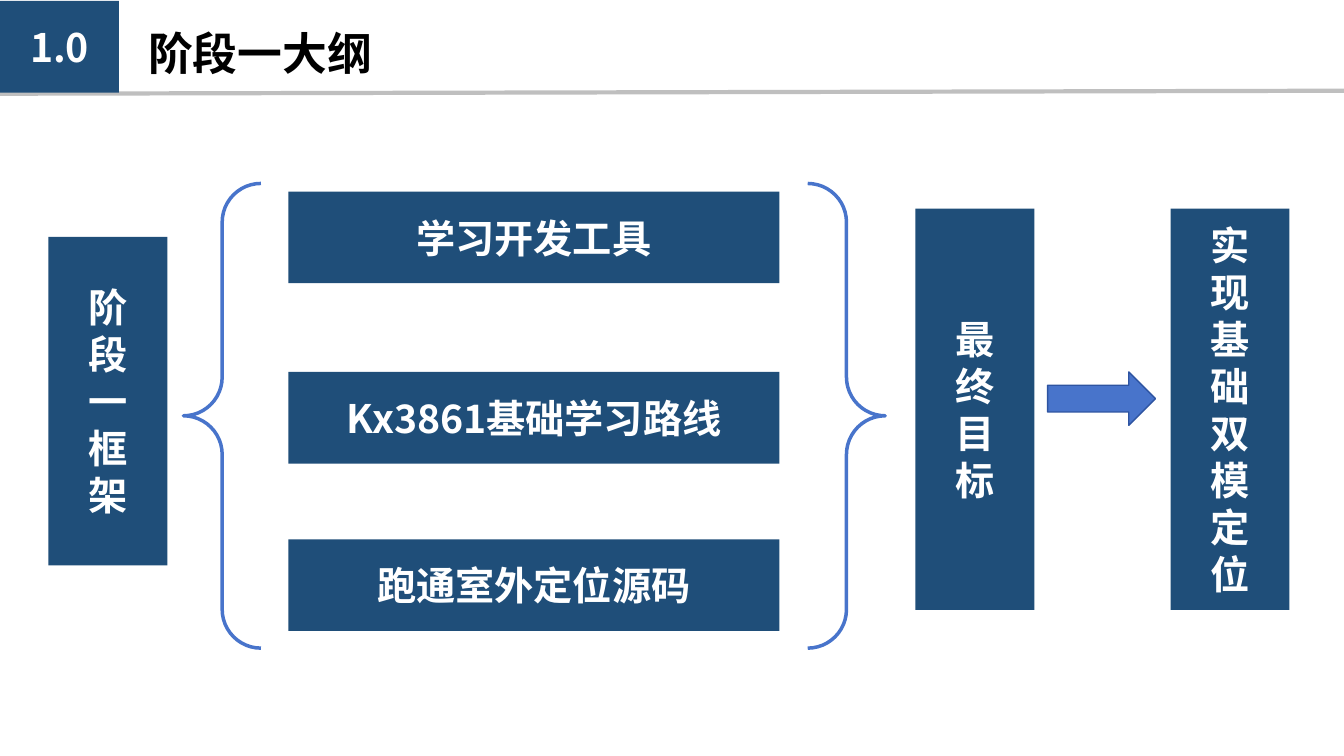
from lxml import etree
from pptx import Presentation
from pptx.dml.color import RGBColor
from pptx.enum.shapes import MSO_CONNECTOR, MSO_SHAPE
from pptx.enum.text import MSO_ANCHOR, PP_ALIGN
from pptx.oxml.ns import qn
from pptx.util import Inches, Pt

RECTANGLE = MSO_SHAPE.RECTANGLE
BRACES = MSO_SHAPE.DOUBLE_BRACE
ARROW = MSO_SHAPE.RIGHT_ARROW
STRAIGHT = MSO_CONNECTOR.STRAIGHT
MIDDLE = MSO_ANCHOR.MIDDLE
LEFT, CENTER = PP_ALIGN.LEFT, PP_ALIGN.CENTER

THEME = {
    "font": "Noto Sans CJK SC",
    "navy": "1F4E79", "blue": "4874CB", "edge": "2E54A1",
    "rule": "BFBFBF", "black": "000000", "white": "FFFFFF",
    "title": 32, "body": 28, "column_pitch": 33.6,
}

# Content: sizes and places in inches
TITLE = "阶段一大纲"
NUMBER = "1.0"
STEPS = [("学习开发工具", 1.9), ("Kx3861基础学习路线", 3.69), ("跑通室外定位源码", 5.35)]
COLUMNS = [  # words, left, top, height
    ("阶段一框架", 0.48, 2.35, 3.26),
    ("最终目标", 9.08, 2.07, 3.98),
    ("实现基础双模定位", 11.61, 2.07, 3.98),
]
BLOCK = 1.18
BAR_LEFT, BAR_WIDTH, BAR_HEIGHT = 2.86, 4.87, 0.91


def color(name):
    return RGBColor.from_string(THEME[name])


def write(frame, lines, size, ink, align, pitch=None):
    frame.vertical_anchor = MIDDLE
    for index, line in enumerate(lines):
        para = frame.add_paragraph() if index else frame.paragraphs[0]
        para.text = line
        para.alignment = align
        if pitch:
            para.line_spacing = Pt(THEME[pitch])
        font = para.font
        font.size, font.bold, font.name = Pt(THEME[size]), True, THEME["font"]
        font.color.rgb = color(ink)
        east_asian = etree.SubElement(para._p.pPr.find(qn("a:defRPr")), qn("a:ea"))
        east_asian.set("typeface", THEME["font"])


def add_shape(page, kind, place, fill=None, line=None, width=1):
    shape = page.shapes.add_shape(kind, *map(Inches, place))
    shape.shadow.inherit = False
    if fill:
        shape.fill.solid()
        shape.fill.fore_color.rgb = color(fill)
    else:
        shape.fill.background()
    if line:
        shape.line.color.rgb = color(line)
        shape.line.width = Pt(width)
    else:
        shape.line.fill.background()
    return shape


def add_block(page, place, lines, pitch=None):
    block = add_shape(page, RECTANGLE, place, fill="navy")
    block.text_frame.word_wrap = True
    write(block.text_frame, lines, "body", "white", CENTER, pitch)


def add_header(page):
    box = page.shapes.add_textbox(*map(Inches, (1.37, 0.03, 4.09, 0.98)))
    box.text_frame.word_wrap = False
    write(box.text_frame, [TITLE], "title", "black", LEFT)
    rule = page.shapes.add_connector(STRAIGHT, *map(Inches, (-0.02, 0.93, 13.36, 0.9)))
    rule.line.color.rgb = color("rule")
    rule.line.width = Pt(3)
    etree.SubElement(rule._element.spPr, qn("a:effectLst"))
    add_block(page, (0, 0.01, BLOCK, BAR_HEIGHT), [NUMBER])


def main():
    deck = Presentation()
    deck.slide_width, deck.slide_height = Inches(13.33), Inches(7.5)
    page = deck.slides.add_slide(deck.slide_layouts[6])
    add_header(page)
    add_shape(page, BRACES, (1.82, 1.82, 6.96, 4.61), line="blue", width=2.5)
    for step, top in STEPS:
        add_block(page, (BAR_LEFT, top, BAR_WIDTH, BAR_HEIGHT), [step])
    for words, left, top, height in COLUMNS:
        add_block(page, (left, top, BLOCK, height), list(words), "column_pitch")
    add_shape(page, ARROW, (10.39, 3.69, 1.07, 0.53), fill="blue", line="edge")
    deck.save("out.pptx")


if __name__ == "__main__":
    main()
